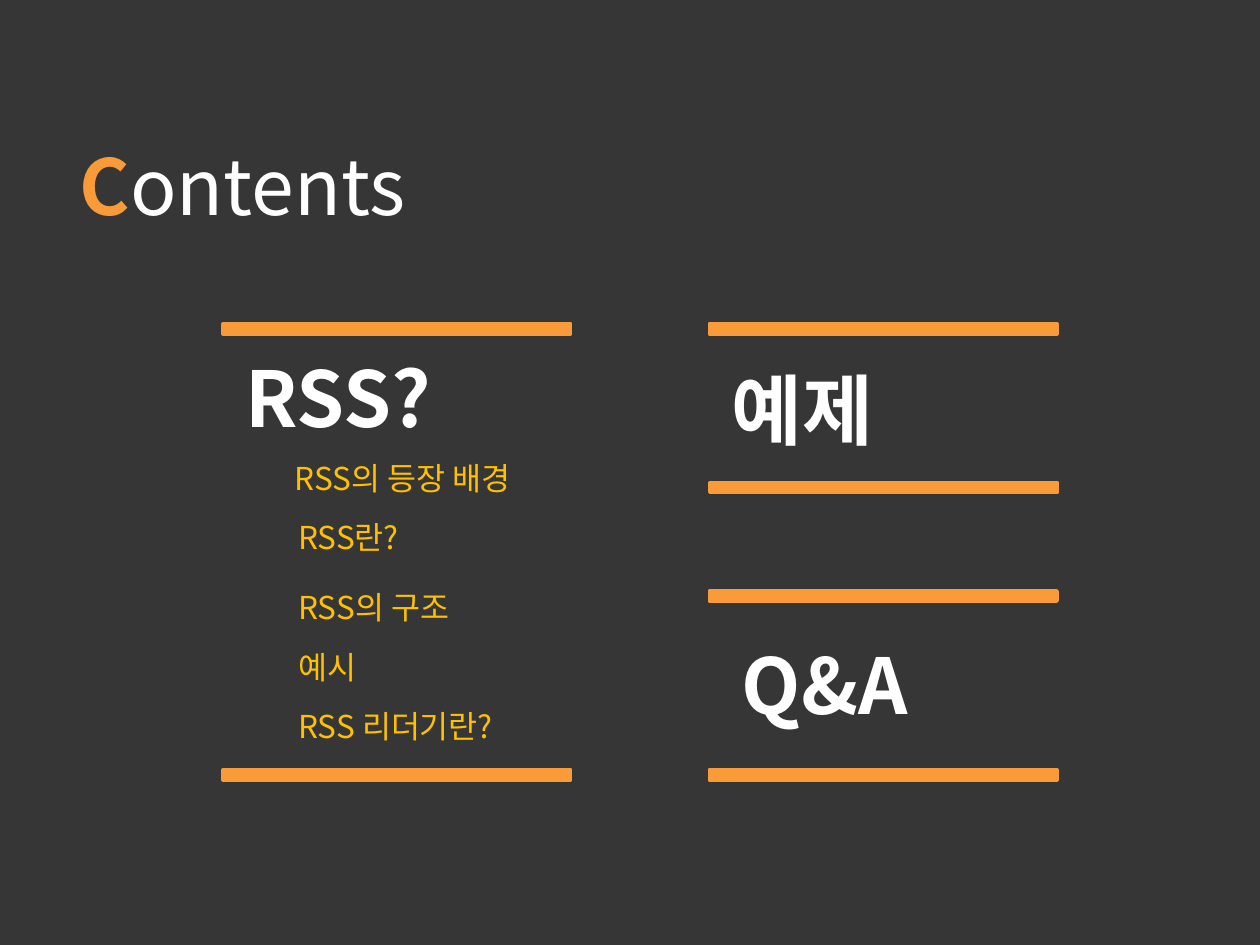
import pptx
import pptx.util
import pptx.dml.color
import pptx.enum.shapes
import pptx.enum.text
import pptx.oxml.ns
import lxml.etree

Inches = pptx.util.Inches
FONT = "Noto Sans CJK KR"
COLORS = {"bg": "363636", "accent": "F99B38", "heading": "FFFFFF", "item": "FFC000"}


def rgb(name):
    return pptx.dml.color.RGBColor.from_string(COLORS[name])


def add_text(s, text, x, y, w, h, size, color, bold=False, wrap=False):
    tf = s.shapes.add_textbox(Inches(x), Inches(y), Inches(w), Inches(h)).text_frame
    tf.text = text
    tf.word_wrap = wrap
    tf.auto_size = pptx.enum.text.MSO_AUTO_SIZE.SHAPE_TO_FIT_TEXT
    r = tf.paragraphs[0].runs[0]
    r.font.size = pptx.util.Pt(size)
    r.font.bold = bold
    r.font.color.rgb = rgb(color)
    r.font.name = FONT
    ea = lxml.etree.SubElement(r.font._element, pptx.oxml.ns.qn("a:ea"))
    ea.set("typeface", FONT)
    return tf


prs = pptx.Presentation()
prs.slide_width = Inches(10)
prs.slide_height = Inches(7.5)
s = prs.slides.add_slide(prs.slide_layouts[6])
s.background.fill.solid()
s.background.fill.fore_color.rgb = rgb("bg")

tf = add_text(s, "C", 0.43, 0.92, 2.99, 1.1, 44, "accent", True, True)
tf.auto_size = pptx.enum.text.MSO_AUTO_SIZE.NONE
tf.vertical_anchor = pptx.enum.text.MSO_ANCHOR.MIDDLE
p = tf.paragraphs[0]
p.alignment = pptx.enum.text.PP_ALIGN.CENTER
r = p.add_run()
r.text = "ontents"
r.font.size = pptx.util.Pt(44)
r.font.bold = False
r.font.name = FONT
r.font.color.rgb = rgb("heading")

for x, tops in [(1.77, [2.57, 6.11]), (5.63, [2.57, 3.83, 4.69, 6.11])]:
    for y in tops:
        sp = s.shapes.add_shape(
            pptx.enum.shapes.MSO_SHAPE.RECTANGLE, Inches(x), Inches(y), Inches(2.76), Inches(0.08)
        )
        sp.shadow.inherit = False
        sp.fill.solid()
        sp.fill.fore_color.rgb = rgb("accent")
        sp.line.color.rgb = rgb("accent")
        sp.line.width = pptx.util.Pt(2)

for text, x, y, w, wrap in [
    ("RSS?", 1.85, 2.73, 1.81, True),
    ("예제", 5.71, 2.83, 1.44, False),
    ("Q&A", 5.79, 5.01, 1.64, True),
]:
    add_text(s, text, x, y, w, 0.84, 44, "heading", True, wrap)

for text, x, y, w in [
    ("RSS의 등장 배경", 2.24, 3.59, 2.07),
    ("RSS란?", 2.27, 4.06, 1),
    ("RSS의 구조", 2.27, 4.62, 1.48),
    ("예시", 2.27, 5.09, 0.71),
    ("RSS 리더기란?", 2.27, 5.56, 1.84),
]:
    add_text(s, text, x, y, w, 0.4, 18, "item")

prs.save("out.pptx")
